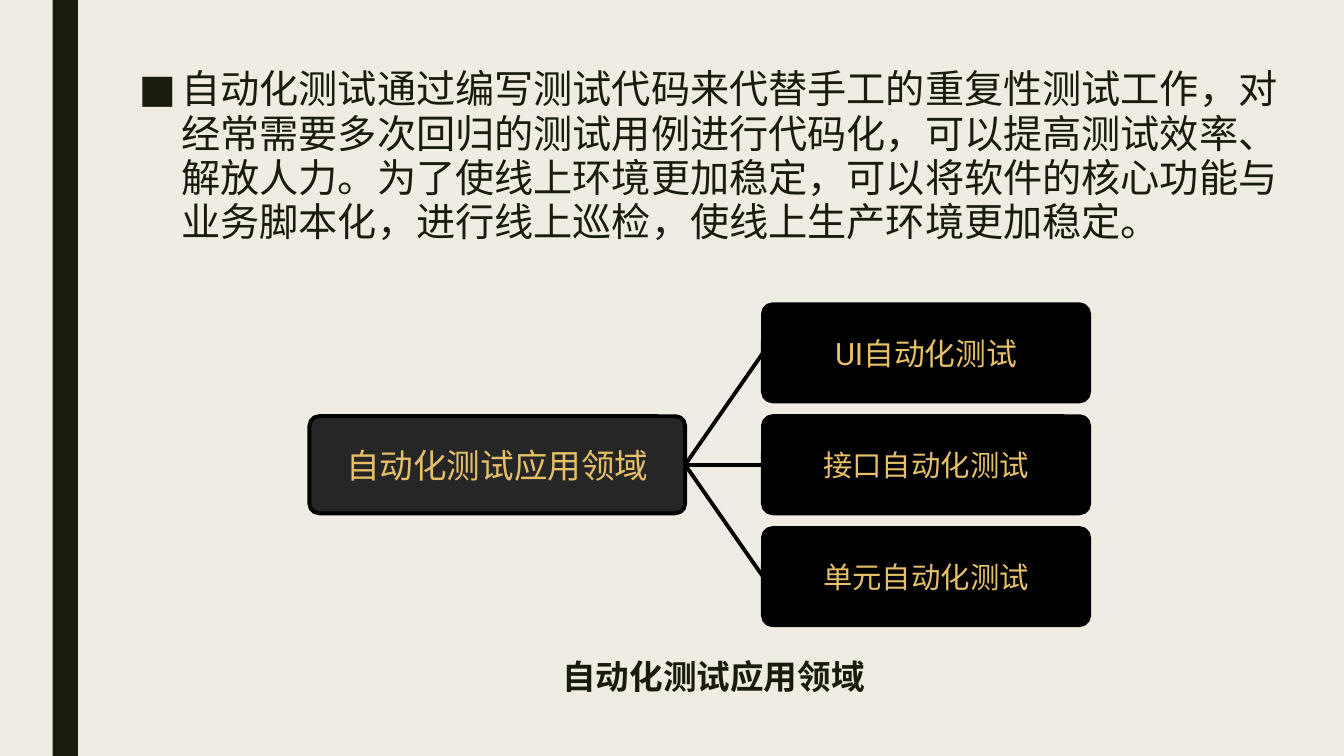
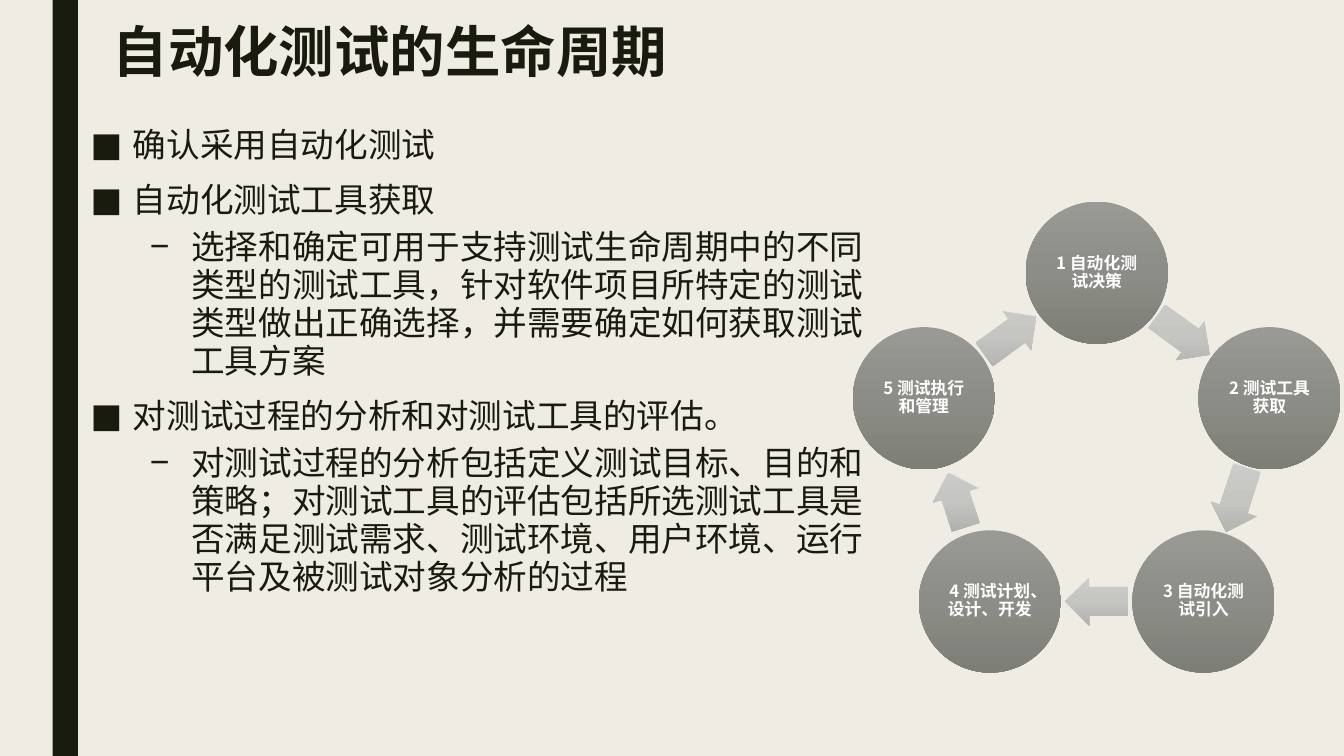
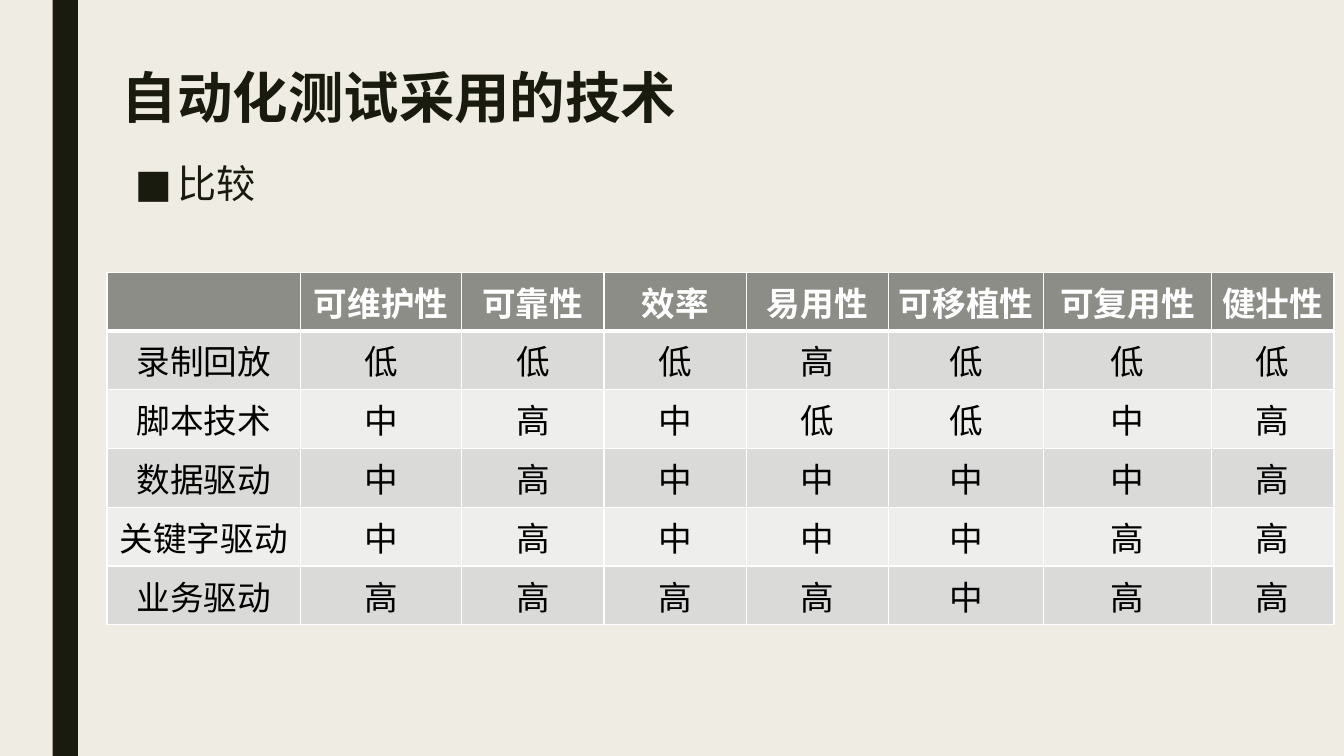
import math
from lxml import etree
from pptx import Presentation
from pptx.dml.color import RGBColor
from pptx.enum import shapes, text
from pptx.oxml import ns
from pptx.util import Pt

PAPER = RGBColor(0xEF, 0xED, 0xE3)
INK = RGBColor(0x19, 0x1B, 0x0E)
BLACK = RGBColor(0, 0, 0)
WHITE = RGBColor(0xFF, 0xFF, 0xFF)
COAL = RGBColor(0x26, 0x26, 0x26)
GOLD = RGBColor(0xE6, 0xC0, 0x69)
HEAD = RGBColor(0x8C, 0x8D, 0x86)
BANDS = RGBColor(0xDA, 0xDB, 0xD9), RGBColor(0xEE, 0xEE, 0xED)
DISC = RGBColor(0x99, 0x9A, 0x94), HEAD, RGBColor(0x7D, 0x7E, 0x76)
ARROW = RGBColor(0xCD, 0xCD, 0xCB), RGBColor(0xC5, 0xC5, 0xC2), RGBColor(0xAF, 0xB0, 0xAD)

LATIN = "Roboto"
HAN = "Noto Sans CJK SC"
WIDE, HIGH = 960, 540
KIND = shapes.MSO_SHAPE
MID = text.MSO_ANCHOR.MIDDLE
CENTER = text.PP_ALIGN.CENTER

AREAS = [("UI自动化测试", 22), ("接口自动化测试", 21), ("单元自动化测试", 21)]
STEPS = ["1 自动化测试决策", "2 测试工具获取", "3 自动化测试引入", "4 测试计划、设计、开发", "5 测试执行和管理"]
SPANS = [46.8, 48.2, 45.4, 41, 46]
INTRO = [(0, "自动化测试通过编写测试代码来代替手工的重复性测试工作，对经常需要多次回归的测试用例进行代码化，可以提高测试效率、解放人力。为了使线上环境更加稳定，可以将软件的核心功能与业务脚本化，进行线上巡检，使线上生产环境更加稳定。")]
CYCLE = [
    (0, "确认采用自动化测试"),
    (0, "自动化测试工具获取"),
    (1, "选择和确定可用于支持测试生命周期中的不同类型的测试工具，针对软件项目所特定的测试类型做出正确选择，并需要确定如何获取测试工具方案"),
    (0, "对测试过程的分析和对测试工具的评估。"),
    (1, "对测试过程的分析包括定义测试目标、目的和策略；对测试工具的评估包括所选测试工具是否满足测试需求、测试环境、用户环境、运行平台及被测试对象分析的过程"),
]
COLS = [138.2, 115.2, 101.6, 101.6, 101.6, 111, 119.6, 87.8]
TRAITS = ["", "可维护性", "可靠性", "效率", "易用性", "可移植性", "可复用性", "健壮性"]
RATES = [
    ("录制回放", "低低低高低低低"),
    ("脚本技术", "中高中低低中高"),
    ("数据驱动", "中高中中中中高"),
    ("关键字驱动", "中高中中中高高"),
    ("业务驱动", "高高高高中高高"),
]


def node(root, tag, **attrs):
    """Append a drawing element and return it."""
    return etree.SubElement(root, ns.qn(tag), attrs)


def write(para, words, size, color, bold=False, face=LATIN):
    """Add one styled run to a paragraph."""
    run = para.add_run()
    run.text = words
    font = run.font
    font.size, font.bold, font.name = Pt(size), bold, face
    font.color.rgb = color
    node(run.font._element, "a:ea", typeface=HAN)


def sheet(deck):
    """Add a blank slide with the shared ground and side band."""
    page = deck.slides.add_slide(deck.slide_layouts[6])
    page.background.fill.solid()
    page.background.fill.fore_color.rgb = PAPER
    band = form(page, KIND.RECTANGLE, 37.6, 0, 18, HIGH)
    band.fill.solid()
    band.fill.fore_color.rgb = INK
    return page


def form(page, kind, x, y, w, h):
    """Add a preset shape without line or shadow."""
    item = page.shapes.add_shape(kind, Pt(x), Pt(y), Pt(w), Pt(h))
    item.shadow.inherit = False
    item.line.fill.background()
    return item


def frame(page, x, y, w, h, wrap=True):
    """Add a text box and return its text frame."""
    body = page.shapes.add_textbox(Pt(x), Pt(y), Pt(w), Pt(h)).text_frame
    body.word_wrap = wrap
    return body


def title(page, words, x, y):
    """Place the slide title."""
    para = frame(page, x, y, 756, 44.6).paragraphs[0]
    para.line_spacing = 0.89
    write(para, words, 39.6, INK, True)


def points(page, items, size, x, y, w, h):
    """Place a bulleted list of two levels."""
    body = frame(page, x, y, w, h)
    for i, (level, words) in enumerate(items):
        para = body.add_paragraph() if i else body.paragraphs[0]
        para.level = level
        para.line_spacing = 0.94
        para.space_before, para.space_after = Pt(5 if level else 10), Pt(2)
        props = para._p.get_or_add_pPr()
        props.set("marL", str(Pt(72 if level else 30.24)))
        props.set("indent", str(-Pt(30.24)))
        node(props, "a:buFont", typeface=LATIN)
        node(props, "a:buChar", char="–" if level else "■")
        write(para, words, size, INK)


def label(item, words, size, color, bold=False, face=LATIN, pitch=None):
    """Centre text inside a shape."""
    body = item.text_frame
    body.word_wrap, body.vertical_anchor = True, MID
    body.margin_left = body.margin_right = Pt(1.2)
    body.margin_top = body.margin_bottom = Pt(1.2)
    para = body.paragraphs[0]
    para.alignment = CENTER
    if pitch:
        para.line_spacing = pitch
    write(para, words, size, color, bold, face)


def tile(page, words, size, fill, x, y, w, h):
    """Add a rounded box of the tree."""
    item = form(page, KIND.ROUNDED_RECTANGLE, x, y, w, h)
    item.adjustments[0] = 0.1
    item.fill.solid()
    item.fill.fore_color.rgb = fill
    item.line.color.rgb, item.line.width = BLACK, Pt(2.75)
    label(item, words, size, GOLD)
    return item


def tree(page, x, y):
    """Draw the root box, its branches and their links."""
    high, step = 69.4, 79.9
    root = tile(page, "自动化测试应用领域", 24, COAL, x, y + step, 268.4, high)
    for i, (words, size) in enumerate(AREAS):
        leaf = tile(page, words, size, BLACK, x + 324, y + i * step, 233, high)
        link = page.shapes.add_connector(shapes.MSO_CONNECTOR.STRAIGHT, 0, 0, 0, 0)
        link.begin_connect(root, 3)
        link.end_connect(leaf, 1)
        link.line.color.rgb, link.line.width = BLACK, Pt(2.75)
        node(link._element.spPr, "a:effectLst")


def shade(item, tones):
    """Fill a shape with a vertical three-tone gradient."""
    grad = etree.Element(ns.qn("a:gradFill"), rotWithShape="0")
    stops = node(grad, "a:gsLst")
    for i, tone in enumerate(tones):
        stop = node(stops, "a:gs", pos=str(i * 50000))
        node(stop, "a:srgbClr", val=str(tone))
    node(grad, "a:lin", ang="5400000", scaled="0")
    item._element.spPr.find(ns.qn("a:prstGeom")).addnext(grad)


def ring(page, x, y, size):
    """Draw five discs on a circle with arrows between them."""
    disc, high = 101.6, 34.4
    reach = (size - disc) / 2
    mid = x + size / 2, y + size / 2
    turn = math.tau / len(STEPS)
    inner = reach * math.cos(turn / 2)
    for i, (words, span) in enumerate(zip(STEPS, SPANS)):
        angle = i * turn
        left = mid[0] + reach * math.sin(angle) - disc / 2
        top = mid[1] - reach * math.cos(angle) - disc / 2
        item = form(page, KIND.OVAL, left, top, disc, disc)
        shade(item, DISC)
        label(item, words, 12, WHITE, True, HAN, 0.9)
        angle += turn / 2
        left = mid[0] + inner * math.sin(angle) - span / 2
        top = mid[1] - inner * math.cos(angle) - high / 2
        arrow = form(page, KIND.RIGHT_ARROW, left, top, span, high)
        arrow.adjustments[0], arrow.adjustments[1] = 0.6, 0.5
        arrow.rotation = math.degrees(angle)
        shade(arrow, ARROW)


def edge(cell, sides):
    """Give a cell white borders of the stated widths."""
    props = cell._tc.get_or_add_tcPr()
    for tag, width in zip(("a:lnL", "a:lnR", "a:lnT", "a:lnB"), sides):
        line = node(props, tag, w=str(Pt(width)))
        node(node(line, "a:solidFill"), "a:srgbClr", val=str(WHITE))


def grid(page, x, y):
    """Draw the comparison table."""
    rows = [TRAITS] + [[name, *marks] for name, marks in RATES]
    high = 42
    table = page.shapes.add_table(len(rows), len(COLS), Pt(x), Pt(y), Pt(sum(COLS)), Pt(high * len(rows))).table
    for col, width in zip(table.columns, COLS):
        col.width = Pt(width)
    for r, row in enumerate(rows):
        table.rows[r].height = Pt(high)
        for c, words in enumerate(row):
            cell = table.cell(r, c)
            edge(cell, (1, 1, 3 if r == 1 else 1, 1 if r else 3))
            cell.fill.solid()
            cell.fill.fore_color.rgb = BANDS[(r - 1) % 2] if r else HEAD
            cell.vertical_anchor = MID
            para = cell.text_frame.paragraphs[0]
            para.alignment = CENTER
            if words:
                write(para, words, 24, BLACK if r else WHITE, not r)


def main():
    """Build and save the three slides."""
    deck = Presentation()
    deck.slide_width, deck.slide_height = Pt(WIDE), Pt(HIGH)

    page = sheet(deck)
    points(page, INTRO, 28, 92.2, 45.4, 840.2, 453.6)
    tree(page, 221, 217.4)
    note = frame(page, 394.6, 465, 234, 36, False)
    write(note.paragraphs[0], "自动化测试应用领域", 24, INK, True, HAN)

    page = sheet(deck)
    title(page, "自动化测试的生命周期", 73.4, 14.4)
    points(page, CYCLE, 24, 57.6, 87.2, 576.8, 409)
    ring(page, 602.8, 144, 361.2)

    page = sheet(deck)
    title(page, "自动化测试采用的技术", 80, 47.6)
    points(page, [(0, "比较")], 28, 89.2, 113, 756, 393.8)
    grid(page, 76.4, 194.4)

    deck.save("out.pptx")


if __name__ == "__main__":
    main()
